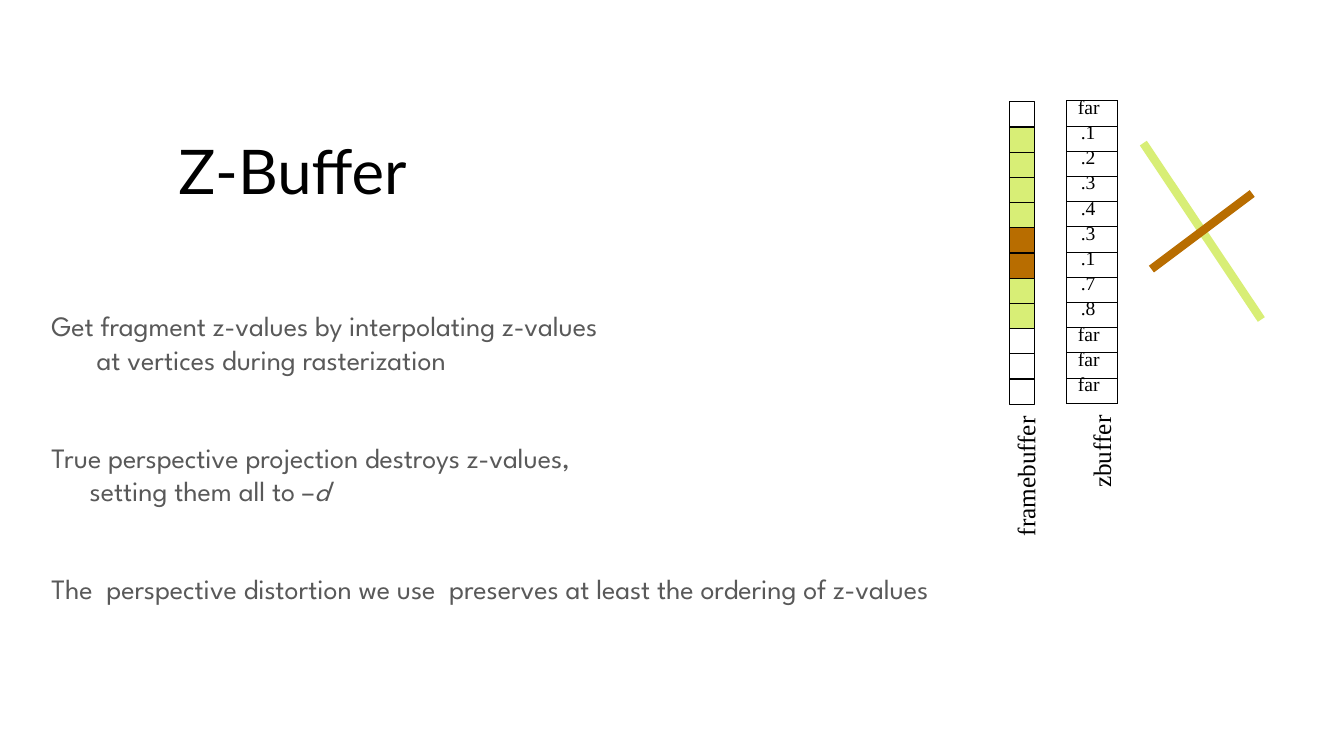
from lxml import etree
from pptx import Presentation
from pptx.dml.color import RGBColor
from pptx.enum.shapes import MSO_CONNECTOR, MSO_SHAPE
from pptx.enum.text import MSO_ANCHOR, PP_ALIGN
from pptx.oxml.ns import qn
from pptx.util import Emu, Pt

PX = 9144
RECTANGLE = MSO_SHAPE.RECTANGLE
STRAIGHT = MSO_CONNECTOR.STRAIGHT
LEFT = PP_ALIGN.LEFT
MIDDLE = MSO_ANCHOR.MIDDLE
TOP = MSO_ANCHOR.TOP
TITLE_ONLY = 5

COLORS = {
    "black": "000000",
    "white": "FFFFFF",
    "gray": "595959",
    "lime": "D8EE76",
    "brown": "B86D00",
}
TITLE_FONT, BODY_FONT, LABEL_FONT = "Lato", "League Spartan", "Times New Roman"

CELL = 25
FRAMEBUFFER = [None] + ["lime"] * 4 + ["brown"] * 2 + ["lime"] * 2 + [None] * 3
ZBUFFER = ["far", ".1", ".2", ".3", ".4", ".3", ".1", ".7", ".8"] + ["far"] * 3
STATEMENTS = [
    ("Get fragment z-values by interpolating z-values\vat vertices during rasterization", "", 46),
    ("True perspective projection destroys z-values,\vsetting them all to –", "d", 39),
    ("The  perspective distortion we use  preserves at least the ordering of z-values", "", 39),
]


def color(name):
    return RGBColor.from_string(COLORS[name])


class SlideBuilder:
    """Draws styled elements on one slide, with lengths in px."""

    def __init__(self, slide):
        self.slide = slide
        self.shapes = slide.shapes

    def box(self, *lengths):
        return [Emu(length * PX) for length in lengths]

    def style(self, paragraph, size, font, ink, spacing=0):
        for run in paragraph.runs:
            run.font.size = Pt(size)
            run.font.name = font
            run.font.color.rgb = color(ink)
            if spacing:
                run._r.get_or_add_rPr().set("spc", str(spacing))

    def indent(self, paragraph, margin, first=0):
        properties = paragraph._p.get_or_add_pPr()
        properties.set("marL", str(margin * PX))
        properties.set("indent", str(first * PX))

    def title(self, text, *bounds):
        heading = self.shapes.title
        heading.left, heading.top, heading.width, heading.height = self.box(*bounds)
        frame = heading.text_frame
        frame.text = text
        frame.vertical_anchor = MIDDLE
        paragraph = frame.paragraphs[0]
        paragraph.alignment = LEFT
        paragraph.line_spacing = 0.9
        self.style(paragraph, 44, TITLE_FONT, "black")

    def text_frame(self, *bounds):
        frame = self.shapes.add_textbox(*self.box(*bounds)).text_frame
        frame.word_wrap = True
        frame.margin_left = frame.margin_right = 0
        frame.margin_top = frame.margin_bottom = 0
        return frame

    def statements(self, entries, *bounds):
        frame = self.text_frame(*bounds)
        for index, (text, variable, margin) in enumerate(entries):
            paragraph = frame.add_paragraph() if index else frame.paragraphs[0]
            paragraph.text = text
            if variable:
                symbol = paragraph.add_run()
                symbol.text = variable
                symbol.font.italic = True
            if index:
                paragraph.space_before = Pt(46)
            self.indent(paragraph, margin, 1 - margin)
            self.style(paragraph, 20, BODY_FONT, "gray", -5)

    def vertical_label(self, text, *bounds):
        frame = self.text_frame(*bounds)
        frame._txBody.bodyPr.set("vert", "vert270")
        frame.text = text
        self.indent(frame.paragraphs[0], 1)
        self.style(frame.paragraphs[0], 18, LABEL_FONT, "black")

    def pixel(self, fill, *bounds):
        square = self.shapes.add_shape(RECTANGLE, *self.box(*bounds))
        square.shadow.inherit = False
        if fill:
            square.fill.solid()
            square.fill.fore_color.rgb = color(fill)
        else:
            square.fill.background()
        square.line.color.rgb = color("black")
        square.line.width = Pt(0.75)

    def segment(self, ink, *ends):
        line = self.shapes.add_connector(STRAIGHT, *self.box(*ends))
        line.line.color.rgb = color(ink)
        line.line.width = Pt(6)
        etree.SubElement(line.element.spPr, qn("a:effectLst"))

    def borders(self, cell):
        properties = cell._tc.get_or_add_tcPr()
        for side in ("a:lnL", "a:lnR", "a:lnT", "a:lnB"):
            edge = etree.SubElement(properties, qn(side), w=str(Pt(0.75)))
            paint = etree.SubElement(edge, qn("a:solidFill"))
            etree.SubElement(paint, qn("a:srgbClr"), val=COLORS["black"])

    def depth_column(self, depths, left, top, width):
        bounds = self.box(left, top, width, CELL * len(depths))
        table = self.shapes.add_table(len(depths), 1, *bounds).table
        table.first_row = table.horz_banding = False
        for row, depth in enumerate(depths):
            table.rows[row].height = Emu(CELL * PX)
            cell = table.cell(row, 0)
            self.borders(cell)
            cell.fill.solid()
            cell.fill.fore_color.rgb = color("white")
            cell.margin_left = cell.margin_right = 0
            cell.margin_top = cell.margin_bottom = 0
            cell.vertical_anchor = TOP
            cell.text_frame.text = depth
            paragraph = cell.text_frame.paragraphs[0]
            paragraph.line_spacing = Pt(12.7)
            self.indent(paragraph, 11 if depth == "far" else 14)
            self.style(paragraph, 14, LABEL_FONT, "black")


def main():
    deck = Presentation()
    deck.slide_width, deck.slide_height = Emu(1333 * PX), Emu(750 * PX)
    builder = SlideBuilder(deck.slides.add_slide(deck.slide_layouts[TITLE_ONLY]))

    builder.title("Z-Buffer", 167, 123, 510, 100)
    builder.statements(STATEMENTS, 50, 306, 1253, 330)
    for row, fill in enumerate(FRAMEBUFFER):
        builder.pixel(fill, 1001, 101 + row * CELL, CELL, CELL)
    builder.segment("lime", 1134, 142, 1251, 317)
    builder.segment("brown", 1242, 192, 1142, 267)
    builder.vertical_label("framebuffer", 1002, 411, 30, 122)
    builder.vertical_label("zbuffer", 1077, 410, 30, 75)
    builder.depth_column(ZBUFFER, 1058, 100, 50)
    deck.save("out.pptx")


if __name__ == "__main__":
    main()
